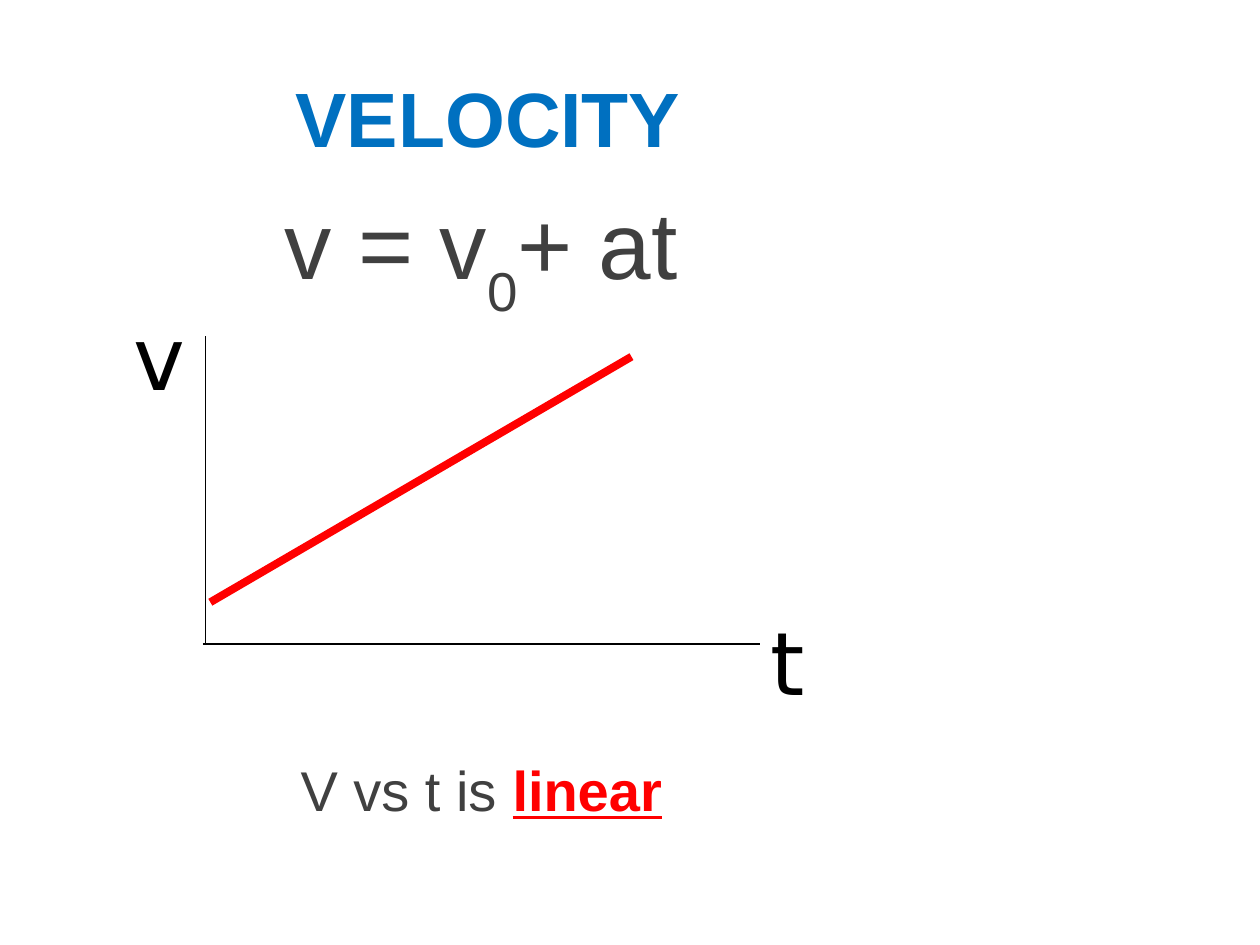
from dataclasses import dataclass

from lxml.etree import SubElement
from pptx import Presentation
from pptx.dml.color import RGBColor
from pptx.enum.shapes import MSO_CONNECTOR
from pptx.enum.text import MSO_ANCHOR, MSO_AUTO_SIZE, PP_ALIGN
from pptx.oxml.ns import qn
from pptx.util import Cm, Pt


@dataclass(frozen=True)
class Theme:
    font: str = "Arial"
    label_font: str = "DejaVu Sans"
    blue: str = "0070C0"
    gray: str = "404040"
    red: str = "FF0000"
    black: str = "000000"
    title_size: int = 44
    formula_size: int = 54
    note_size: int = 32
    label_size: int = 50
    axis_width: float = 0.75
    graph_width: float = 4.5


theme = Theme()

# Content: runs are (text, colour, style names)
title_runs = [("VELOCITY", theme.blue, {"bold"})]
formula_runs = [("v = v", theme.gray, set()),
                ("0", theme.gray, {"subscript"}),
                ("+ at", theme.gray, set())]
note_runs = [("V vs t is ", theme.gray, set()),
             ("linear", theme.red, {"bold", "underline"})]

# Places in centimetres: left, top, width, height
title_place = (1.27, 0.76, 17.15, 3.18)
formula_place = (1.35, 3.61, 16.71, 2.39)
note_place = (1.35, 15.11, 16.71, 2.97)
label_size = (1.47, 2.39)
axis_labels = [("v", 2.44, 5.99), ("t", 15.29, 12.14)]

# Graph lines: start, end, colour, width
origin_x, origin_y = 4.14, 12.98
graph_lines = [
    ((origin_x, 6.78), (origin_x, origin_y), theme.black, theme.axis_width),
    ((4.09, origin_y), (15.32, origin_y), theme.black, theme.axis_width),
    ((12.73, 7.19), (4.24, 12.14), theme.red, theme.graph_width),
]


def write(box, place, runs, size, font=theme.font, align=PP_ALIGN.CENTER,
          before=0, anchor=MSO_ANCHOR.TOP):
    box.left, box.top, box.width, box.height = map(Cm, place)
    frame = box.text_frame
    frame.word_wrap = True
    frame.auto_size = MSO_AUTO_SIZE.NONE
    frame.vertical_anchor = anchor
    para = frame.paragraphs[0]
    para.alignment = align
    para.space_before = Pt(before)
    for text, color, styles in runs:
        span = para.add_run()
        span.text = text
        span.font.name = font
        span.font.size = Pt(size)
        span.font.color.rgb = RGBColor.from_string(color)
        span.font.bold = "bold" in styles
        span.font.underline = "underline" in styles
        if "subscript" in styles:
            span.font._element.set("baseline", "-33000")
    return para


def remove_bullet(para):
    properties = para._p.get_or_add_pPr()
    properties.set("marL", "0")
    properties.set("indent", "0")
    SubElement(properties, qn("a:buNone"))


def draw_line(page, start, end, color, width):
    line = page.shapes.add_connector(
        MSO_CONNECTOR.STRAIGHT, *map(Cm, start + end))
    line.line.color.rgb = RGBColor.from_string(color)
    line.line.width = Pt(width)
    SubElement(line._element.spPr, qn("a:effectLst"))


def add_box(page, place):
    return page.shapes.add_textbox(*map(Cm, place))


def main():
    deck = Presentation()
    deck.slide_width, deck.slide_height = Cm(25.4), Cm(19.05)
    page = deck.slides.add_slide(deck.slide_layouts[1])

    # Title and formula
    write(page.shapes.title, title_place, title_runs, theme.title_size,
          anchor=MSO_ANCHOR.MIDDLE)
    formula = write(page.placeholders[1], formula_place, formula_runs,
                    theme.formula_size, before=theme.formula_size * 0.2)
    remove_bullet(formula)

    # Note below the graph
    write(add_box(page, note_place), note_place, note_runs, theme.note_size,
          before=theme.note_size * 0.2)

    # Axes and velocity line
    for line in graph_lines:
        draw_line(page, *line)

    # Axis labels
    for text, left, top in axis_labels:
        place = (left, top, *label_size)
        write(add_box(page, place), place, [(text, theme.black, set())],
              theme.label_size, theme.label_font, PP_ALIGN.LEFT, before=11.2)

    deck.save("out.pptx")


if __name__ == "__main__":
    main()
